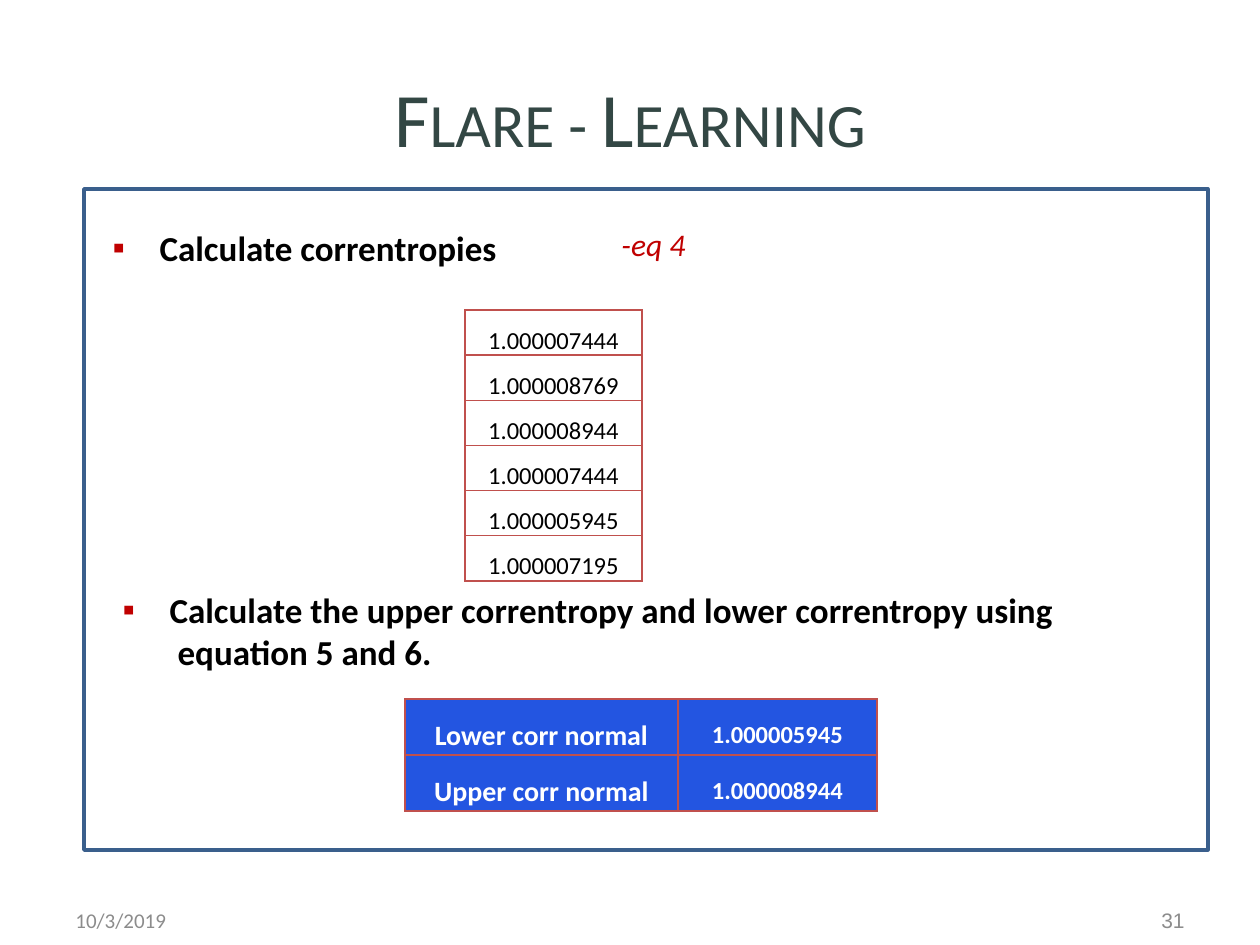
"""Build the Flare learning slide with its correntropy tables."""
from dataclasses import dataclass

from lxml import etree
from pptx import Presentation
from pptx.dml.color import RGBColor
from pptx.enum.shapes import MSO_SHAPE
from pptx.enum.text import MSO_ANCHOR, MSO_AUTO_SIZE, PP_ALIGN
from pptx.oxml.ns import qn
from pptx.util import Emu, Pt

RECTANGLE = MSO_SHAPE.RECTANGLE
TOP, MIDDLE, BOTTOM = MSO_ANCHOR.TOP, MSO_ANCHOR.MIDDLE, MSO_ANCHOR.BOTTOM
LEFT, CENTER, RIGHT = PP_ALIGN.LEFT, PP_ALIGN.CENTER, PP_ALIGN.RIGHT
NO_AUTOFIT = MSO_AUTO_SIZE.NONE
PX_PER_INCH = 126
COLORS = {
    "white": "FFFFFF", "black": "000000", "title": "334744", "red": "C00000",
    "frame": "3A5F8C", "grid": "C0504D", "cell": "2355E1", "footer": "8C8C8C",
}


@dataclass(frozen=True)
class Area:
    left: int
    top: int
    width: int
    height: int


@dataclass(frozen=True)
class Style:
    size: int
    color: str
    bold: bool = False
    italic: bool = False
    font: str = "Calibri"


@dataclass(frozen=True)
class Label:
    text: str
    area: Area
    style: Style
    align: PP_ALIGN = LEFT
    anchor: MSO_ANCHOR = MIDDLE


@dataclass(frozen=True)
class BulletList:
    area: Area
    lines: tuple[str, ...]


@dataclass(frozen=True)
class Grid:
    left: int
    top: int
    widths: tuple[int, ...]
    row_height: int
    rows: tuple[tuple[str, ...], ...]
    styles: tuple[Style, ...]
    anchor: MSO_ANCHOR
    fill: str = ""


BULLET_STYLE = Style(20, "black", bold=True)
FOOTER_STYLE = Style(12, "footer")
VALUE_STYLE = Style(14, "black")

BULLETS = (
    BulletList(Area(100, 220, 426, 55), ("Calculate correntropies",)),
    BulletList(Area(110, 582, 999, 97), (
        "Calculate the upper correntropy and lower correntropy using",
        "equation 5 and 6.",
    )),
)
LABELS = (
    Label("-eq 4", Area(609, 219, 165, 50), Style(18, "red", italic=True), anchor=TOP),
    Label("10/3/2019", Area(63, 895, 294, 50), FOOTER_STYLE),
    Label("31", Area(903, 895, 294, 50), Style(12, "footer", font="Arial"), RIGHT),
)
CORRENTROPIES = (
    "1.000007444", "1.000008769", "1.000008944",
    "1.000007444", "1.000005945", "1.000007195",
)
GRIDS = (
    Grid(465, 310, (177,), 39, tuple((value,) for value in CORRENTROPIES),
         (VALUE_STYLE,), BOTTOM),
    Grid(405, 699, (273, 199), 56,
         (("Lower corr normal", "1.000005945"), ("Upper corr normal", "1.000008944")),
         (Style(16, "white", bold=True), Style(14, "white", bold=True)), MIDDLE, "cell"),
)


def px(length: int) -> Emu:
    return Emu(round(length * 914400 / PX_PER_INCH))


def color(name: str) -> RGBColor:
    return RGBColor.from_string(COLORS[name])


def place(shape, area: Area) -> None:
    shape.left, shape.top = px(area.left), px(area.top)
    shape.width, shape.height = px(area.width), px(area.height)


def add_span(para, text: str, style: Style):
    span = para.add_run()
    span.text = text
    span.font.name, span.font.size = style.font, Pt(style.size)
    span.font.bold, span.font.italic = style.bold, style.italic
    span.font.color.rgb = color(style.color)
    return span


def add_panel(page) -> None:
    panel = page.shapes.add_shape(RECTANGLE, 0, 0, 0, 0)
    place(panel, Area(84, 189, 1124, 661))
    panel.shadow.inherit = False
    panel.fill.solid()
    panel.fill.fore_color.rgb = color("white")
    panel.line.color.rgb = color("frame")
    panel.line.width = Pt(2)
    panel.element.getparent().insert(2, panel.element)


def fill_title(box) -> None:
    place(box, Area(63, 38, 1134, 158))
    para = box.text_frame.paragraphs[0]
    para.alignment = CENTER
    span = add_span(para, "Flare - Learning", Style(44, "title"))
    span.font._element.set("cap", "small")


def set_bullet(para, has_mark: bool) -> None:
    properties = para._p.get_or_add_pPr()
    properties.set("marL", str(px(47 if has_mark else 55)))
    properties.set("indent", str(px(-47 if has_mark else 0)))
    if has_mark:
        mark_color = etree.SubElement(properties, qn("a:buClr"))
        etree.SubElement(mark_color, qn("a:srgbClr"), val=COLORS["red"])
        etree.SubElement(properties, qn("a:buFont"), typeface="Arial")
        etree.SubElement(properties, qn("a:buChar"), char="▪")
    else:
        etree.SubElement(properties, qn("a:buNone"))


def fill_bullets(box, bullets: BulletList) -> None:
    place(box, bullets.area)
    frame = box.text_frame
    frame.word_wrap, frame.auto_size = True, NO_AUTOFIT
    for index, line in enumerate(bullets.lines):
        para = frame.add_paragraph() if index else frame.paragraphs[0]
        para.space_before = Pt(0)
        set_bullet(para, index == 0)
        add_span(para, line, BULLET_STYLE)


def add_label(page, label: Label) -> None:
    box = page.shapes.add_textbox(0, 0, 0, 0)
    place(box, label.area)
    frame = box.text_frame
    frame.word_wrap, frame.vertical_anchor = True, label.anchor
    para = frame.paragraphs[0]
    para.alignment = label.align
    add_span(para, label.text, label.style)


def add_borders(cell) -> None:
    properties = cell._tc.get_or_add_tcPr()
    for side in ("lnL", "lnR", "lnT", "lnB"):
        line = etree.SubElement(properties, qn(f"a:{side}"), w=str(Pt(1)))
        paint = etree.SubElement(line, qn("a:solidFill"))
        etree.SubElement(paint, qn("a:srgbClr"), val=COLORS["grid"])


def fill_cell(cell, text: str, style: Style, grid: Grid) -> None:
    add_borders(cell)
    if grid.fill:
        cell.fill.solid()
        cell.fill.fore_color.rgb = color(grid.fill)
    else:
        cell.fill.background()
    cell.margin_left = cell.margin_right = cell.margin_top = px(1)
    cell.margin_bottom = 0
    cell.vertical_anchor = grid.anchor
    para = cell.text_frame.paragraphs[0]
    para.alignment, para.line_spacing = CENTER, 1.5
    add_span(para, text, style)


def add_grid(page, grid: Grid) -> None:
    height = grid.row_height * len(grid.rows)
    table = page.shapes.add_table(
        len(grid.rows), len(grid.widths), px(grid.left), px(grid.top),
        px(sum(grid.widths)), px(height)).table
    table.first_row = table.horz_banding = False
    for column, width in zip(table.columns, grid.widths):
        column.width = px(width)
    for row, texts in zip(table.rows, grid.rows):
        row.height = px(grid.row_height)
        for cell, text, style in zip(row.cells, texts, grid.styles):
            fill_cell(cell, text, style, grid)


def main() -> None:
    deck = Presentation()
    deck.slide_width, deck.slide_height = px(1260), px(945)
    page = deck.slides.add_slide(deck.slide_layouts.get_by_name("Two Content"))
    add_panel(page)
    fill_title(page.shapes.title)
    for box, bullets in zip(list(page.placeholders)[1:], BULLETS):
        fill_bullets(box, bullets)
    for label in LABELS:
        add_label(page, label)
    for grid in GRIDS:
        add_grid(page, grid)
    deck.save("out.pptx")


if __name__ == "__main__":
    main()
